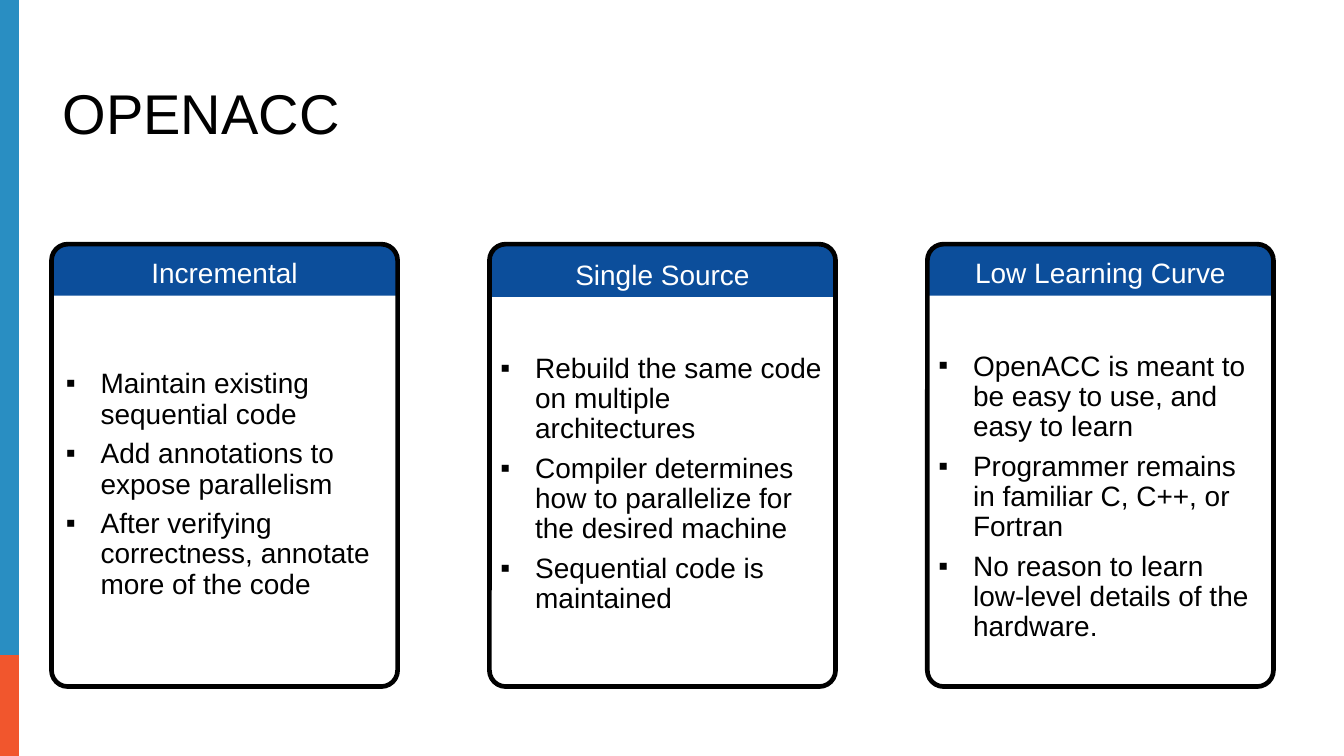
from lxml import etree
from pptx import Presentation
from pptx.dml.color import RGBColor
from pptx.enum import shapes, text
from pptx.oxml.ns import qn
from pptx.util import Inches, Pt

TITLE = "OPENACC"
CARDS = [
    {"heading": "Incremental", "head_top": 2.18, "body": (0.49, 3.24, 2.18),
     "points": ["Maintain existing sequential code",
                "Add annotations to expose parallelism",
                "After verifying correctness, annotate more of the code"]},
    {"heading": "Single Source", "head_top": 2.19, "body": (4.37, 3.1, 2.45),
     "points": ["Rebuild the same code on multiple architectures",
                "Compiler determines how to parallelize for the desired machine",
                "Sequential code is maintained"]},
    {"heading": "Low Learning Curve", "head_top": 2.18, "body": (8.28, 3.08, 2.72),
     "points": ["OpenACC is meant to be easy to use, and easy to learn",
                "Programmer remains in familiar C, C++, or Fortran",
                "No reason to learn low-level details of the hardware."]},
]
COLORS = {"blue": "298EC2", "orange": "F1562D", "navy": "0C4E9B",
          "black": "000000", "white": "FFFFFF"}
SIDE_BARS = [("blue", 0, 5.85), ("orange", 5.85, 0.9)]
FONT = "Arial"
LEFT, TOP, WIDTH, HEIGHT, PITCH = 0.46, 2.18, 3.09, 3.95, 3.91
HEAD_HEIGHT, BAR_WIDTH = 0.46, 0.17
INDENT = Inches(0.31)


def rgb(name):
    return RGBColor.from_string(COLORS[name])


def add_shape(slide, kind, box, fill=None, line=None, adjust=None):
    sp = slide.shapes.add_shape(kind, *map(Inches, box))
    sp.shadow.inherit = False
    if adjust is not None:
        sp.adjustments[0] = adjust
    if fill:
        sp.fill.solid()
        sp.fill.fore_color.rgb = rgb(fill)
    else:
        sp.fill.background()
    if line:
        sp.line.color.rgb = rgb(line)
        sp.line.width = Pt(3)
    else:
        sp.line.fill.background()
    return sp


def style_runs(p, size, color):
    for r in p.runs:
        r.font.name = FONT
        r.font.size = Pt(size)
        r.font.color.rgb = rgb(color)


def add_bullet(p):
    pPr = p._p.get_or_add_pPr()
    pPr.set("marL", str(INDENT))
    pPr.set("indent", str(-INDENT))
    clr = etree.SubElement(pPr, qn("a:buClr"))
    etree.SubElement(clr, qn("a:srgbClr"), val=COLORS["black"])
    etree.SubElement(pPr, qn("a:buFont"), typeface=FONT)
    etree.SubElement(pPr, qn("a:buChar"), char="▪")


def add_points(slide, points, box):
    tf = slide.shapes.add_textbox(*map(Inches, box)).text_frame
    tf.word_wrap = True
    tf.vertical_anchor = text.MSO_ANCHOR.MIDDLE
    for i, point in enumerate(points):
        p = tf.add_paragraph() if i else tf.paragraphs[0]
        p.text = point
        add_bullet(p)
        p.line_spacing = 0.9
        p.space_before = Pt(6 if i else 0)
        style_runs(p, 18, "black")


def add_card(slide, left, card):
    head = add_shape(slide, shapes.MSO_SHAPE.SNIP_2_SAME_RECTANGLE,
                     (left, card["head_top"], WIDTH, HEAD_HEIGHT), "navy", adjust=0.223)
    tf = head.text_frame
    tf.text = card["heading"]
    tf.vertical_anchor = text.MSO_ANCHOR.MIDDLE
    p = tf.paragraphs[0]
    p.alignment = text.PP_ALIGN.CENTER
    style_runs(p, 18, "white")
    add_shape(slide, shapes.MSO_SHAPE.ROUNDED_RECTANGLE,
              (left, TOP, WIDTH, HEIGHT), line="black", adjust=0.047)
    body_left, body_top, body_height = card["body"]
    add_points(slide, card["points"], (body_left, body_top, WIDTH, body_height))


def set_title(slide):
    title = slide.shapes.title
    title.left, title.top, title.width, title.height = map(Inches, (LEFT, 0.71, 10.91, 0.65))
    tf = title.text_frame
    tf.text = TITLE
    tf.word_wrap = True
    tf.vertical_anchor = text.MSO_ANCHOR.BOTTOM
    p = tf.paragraphs[0]
    p.alignment = text.PP_ALIGN.LEFT
    p.line_spacing = 0.9
    style_runs(p, 36, "black")


def main():
    prs = Presentation()
    prs.slide_width, prs.slide_height = Inches(12), Inches(6.75)
    slide = prs.slides.add_slide(prs.slide_layouts[5])
    set_title(slide)
    for color, top, height in SIDE_BARS:
        add_shape(slide, shapes.MSO_SHAPE.RECTANGLE, (0, top, BAR_WIDTH, height), color)
    for i, card in enumerate(CARDS):
        add_card(slide, LEFT + i * PITCH, card)
    prs.save("out.pptx")


if __name__ == "__main__":
    main()
